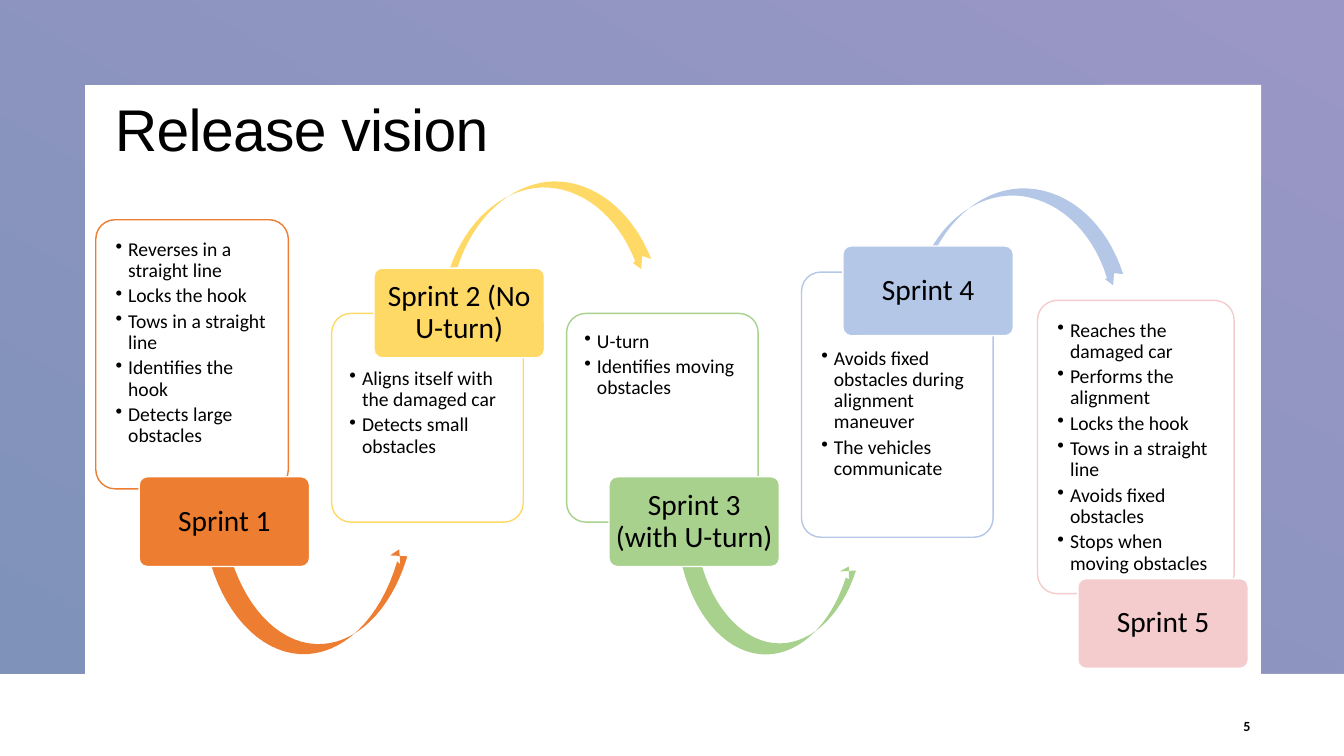
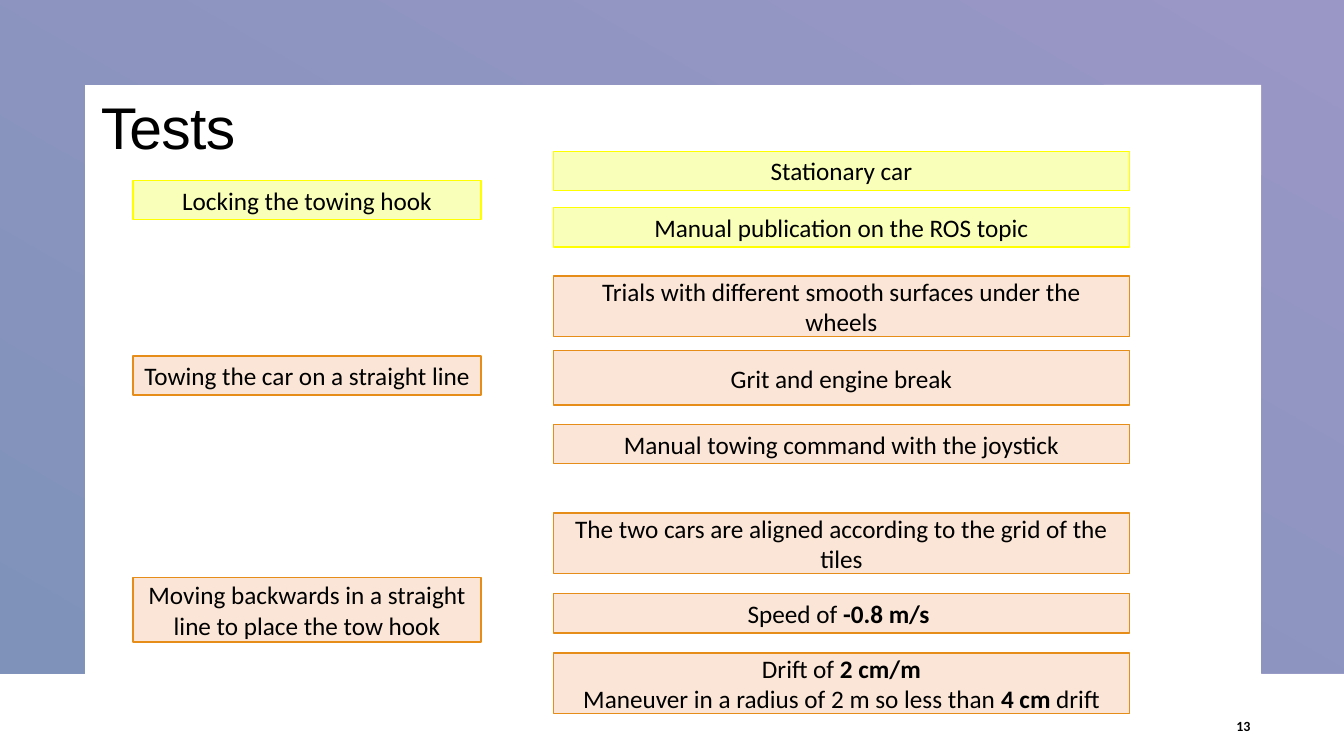
import pptx
import pptx.util
import pptx.dml.color
import pptx.enum.shapes
import pptx.enum.text
import pptx.oxml
import pptx.oxml.ns
import lxml.etree

CELL = pptx.util.Inches(0.1)
SHAPE = pptx.enum.shapes.MSO_SHAPE
ALIGN = pptx.enum.text.PP_ALIGN
ANCHOR = pptx.enum.text.MSO_ANCHOR
BLACK, WHITE = "000000", "FFFFFF"
CURVE_STEPS = 16


def paint(shape, fill, line=None, opacity=100):
    shape.shadow.inherit = False
    shape.fill.solid()
    shape.fill.fore_color.rgb = pptx.dml.color.RGBColor.from_string(fill)
    if opacity < 100:
        color = shape.element.spPr.find(".//" + pptx.oxml.ns.qn("a:srgbClr"))
        alpha = lxml.etree.SubElement(color, pptx.oxml.ns.qn("a:alpha"))
        alpha.set("val", str(opacity * 1000))
    if line:
        shape.line.color.rgb = pptx.dml.color.RGBColor.from_string(line)
        shape.line.width = pptx.util.Pt(1)
    else:
        shape.line.fill.background()


def write(paragraph, runs, size, align=ALIGN.CENTER, font="Calibri"):
    paragraph.alignment = align
    for text, bold in runs:
        if text == "\n":
            paragraph.add_line_break()
            continue
        run = paragraph.add_run()
        run.text = text
        run.font.name = font
        run.font.size = pptx.util.Pt(size)
        run.font.bold = bold
        run.font.color.rgb = pptx.dml.color.RGBColor.from_string(BLACK)


presentation = pptx.Presentation()
presentation.slide_width = pptx.util.Inches(13.33)
presentation.slide_height = pptx.util.Inches(7.5)
layout = presentation.slide_layouts.get_by_name("Title Only")

slides = []
for title_text, number, left, top in [("Release vision", "5", 10.4, 9.2), ("Tests", "13", 9, 9)]:
    slide = presentation.slides.add_slide(layout)
    slides.append(slide)
    title = slide.shapes.title
    title.left, title.top = round(left * CELL), round(top * CELL)
    title.width, title.height = 100 * CELL, round(14.7 * CELL)
    title.text_frame.auto_size = pptx.enum.text.MSO_AUTO_SIZE.NONE
    title.text_frame.vertical_anchor = ANCHOR.TOP
    paragraph = title.text_frame.paragraphs[0]
    paragraph.line_spacing = 0.95
    write(paragraph, [(title_text, False)], 42, ALIGN.LEFT, "Arial")
    paragraph.runs[0].font._element.set("spc", "-50")

    number_box = slide.shapes.add_textbox(round(119.2 * CELL), 70 * CELL, round(5.8 * CELL), 4 * CELL)
    number_box.text_frame.word_wrap = True
    number_box.text_frame.vertical_anchor = ANCHOR.MIDDLE
    write(number_box.text_frame.paragraphs[0], [(number, True)], 10, ALIGN.RIGHT)

release_slide, tests_slide = slides

frame_points = [(133.3, 0), (133.3, 66.8), (125.1, 66.8), (125.1, 8.4), (8.4, 8.4), (8.4, 66.8), (0, 66.8)]
builder = release_slide.shapes.build_freeform(0, 0)
builder.add_line_segments([(x * CELL, y * CELL) for x, y in frame_points])
frame = builder.convert_to_shape()
frame.shadow.inherit = False
frame.line.fill.background()
frame.fill.gradient()
frame.fill.gradient_angle = 240
for stop, position, color in zip(frame.fill.gradient_stops, (0, 1), ("9A96C6", "7F93BA")):
    stop.position = position
    stop.color.rgb = pptx.dml.color.RGBColor.from_string(color)
layout.shapes.element.insert(2, frame.element)

sprints = [
    {
        "name": "Sprint 1", "color": "ED7D31",
        "card": (9.5, 21.8, 19.1, 26.7), "label": (13.8, 47.3), "insets": (1.4, 1.4),
        "tasks": ["Reverses in a straight line", "Locks the hook", "Tows in a straight line",
                  "Identifies the hook", "Detects large obstacles"],
        "arrow": [(22.2, 54.7), (22.6, 54.3), (24, 59.9, 27.4, 63.7, 31.3, 63.9),
                  (35.2, 64.1, 38.8, 60.6, 40.4, 55.2), (38.7, 55.1), (39.6, 54.5), (39.7, 56),
                  (39.4, 55.7), (37.7, 61.5, 33.9, 65.1, 29.8, 64.9), (25.7, 64.7, 22, 60.7, 20.6, 54.8)],
    },
    {
        "name": "Sprint 2 (No U-turn)", "color": "FFD966",
        "card": (32.9, 31.1, 19, 20.7), "label": (37.1, 26.6), "insets": (1.2, 4.9),
        "tasks": ["Aligns itself with the damaged car", "Detects small obstacles"],
        "arrow": [(45.4, 26.5), (47, 21.5, 50.7, 18.2, 54.8, 18), (58.9, 17.9, 62.7, 20.9, 64.6, 25.7),
                  (63.7, 25.4), (63.6, 26.7), (62.8, 26.1), (63, 25.9),
                  (61.2, 21.3, 57.6, 18.5, 53.7, 18.6), (49.7, 18.8, 46.2, 22, 44.6, 26.7)],
    },
    {
        "name": "Sprint 3 (with U-turn)", "color": "A9D18E",
        "card": (56.2, 31.1, 19, 20.7), "label": (60.4, 47.3), "insets": (1.2, 1.2),
        "tasks": ["U-turn", "Identifies moving obstacles"],
        "arrow": [(68.9, 55.1), (69.3, 54.8), (70.3, 59.8, 73.3, 63.4, 76.7, 63.8),
                  (80.1, 64.2, 83.4, 61.3, 84.9, 56.6), (83.3, 56.7), (84.2, 56.2), (84.2, 57.5),
                  (83.9, 57.3), (82.3, 62.3, 78.9, 65.3, 75.3, 64.9), (71.7, 64.5, 68.6, 60.7, 67.5, 55.4)],
    },
    {
        "name": "Sprint 4", "color": "B4C7E7",
        "card": (79.5, 27, 19, 26.3), "label": (83.6, 24.4), "insets": (1.4, 7),
        "tasks": ["Avoids fixed obstacles during alignment maneuver", "The vehicles communicate"],
        "arrow": [(92, 26.5), (93.9, 21.6, 97.7, 18.5, 101.9, 18.7), (106.1, 18.9, 109.8, 22.2, 111.4, 27.2),
                  (110.5, 27.1), (110.4, 28.3), (109.6, 27.7), (109.8, 27.6),
                  (108.3, 22.7, 104.7, 19.6, 100.7, 19.4), (96.7, 19.3, 93, 22.2, 91.3, 26.9)],
    },
    {
        "name": "Sprint 5", "color": "F5CCCD",
        "card": (102.9, 29.8, 19.5, 29.1), "label": (106.9, 57.4), "insets": (1.4, 1.4),
        "tasks": ["Reaches the damaged car", "Performs the alignment", "Locks the hook",
                  "Tows in a straight line", "Avoids fixed obstacles", "Stops when moving obstacles"],
        "arrow": [],
    },
]

for sprint in sprints:
    card = release_slide.shapes.add_shape(
        SHAPE.ROUNDED_RECTANGLE, *[round(length * CELL) for length in sprint["card"]])
    card.adjustments[0] = 0.1
    paint(card, WHITE, sprint["color"], 90)
    text_frame = card.text_frame
    text_frame.word_wrap = True
    text_frame.vertical_anchor = ANCHOR.TOP
    side, top = sprint["insets"]
    text_frame.margin_left = text_frame.margin_right = round(side * CELL)
    text_frame.margin_top = round(top * CELL)
    text_frame.margin_bottom = 0
    for index, task in enumerate(sprint["tasks"]):
        paragraph = text_frame.add_paragraph() if index else text_frame.paragraphs[0]
        properties = paragraph._p.get_or_add_pPr()
        indent = round(1.25 * CELL)
        properties.set("marL", str(indent))
        properties.set("indent", str(-indent))
        bullet = lxml.etree.SubElement(properties, pptx.oxml.ns.qn("a:buChar"))
        bullet.set("char", "•")
        paragraph.line_spacing = 0.9
        paragraph.space_after = pptx.util.Pt(3)
        write(paragraph, [(task, False)], 14, ALIGN.LEFT)

    if sprint["arrow"]:
        outline = [sprint["arrow"][0]]
        for segment in sprint["arrow"][1:]:
            if len(segment) == 2:
                outline.append(segment)
                continue
            x0, y0 = outline[-1]
            x1, y1, x2, y2, x3, y3 = segment
            for step in range(1, CURVE_STEPS + 1):
                t = step / CURVE_STEPS
                a, b, c, d = (1 - t) ** 3, 3 * t * (1 - t) ** 2, 3 * t ** 2 * (1 - t), t ** 3
                outline.append((a * x0 + b * x1 + c * x2 + d * x3, a * y0 + b * y1 + c * y2 + d * y3))
        points = [(x * CELL, y * CELL) for x, y in outline]
        builder = release_slide.shapes.build_freeform(*points[0])
        builder.add_line_segments(points[1:])
        paint(builder.convert_to_shape(), sprint["color"])

    left, top = sprint["label"]
    label = release_slide.shapes.add_shape(
        SHAPE.ROUNDED_RECTANGLE, round(left * CELL), round(top * CELL), round(16.9 * CELL), round(8.9 * CELL))
    label.adjustments[0] = 0.09
    paint(label, sprint["color"], WHITE)
    label.text_frame.word_wrap = True
    label.text_frame.vertical_anchor = ANCHOR.MIDDLE
    label.text_frame.margin_left = label.text_frame.margin_right = round(0.45 * CELL)
    paragraph = label.text_frame.paragraphs[0]
    paragraph.line_spacing = 0.9
    write(paragraph, [(sprint["name"], False)], 21)

test_column, detail_column = (13.2, 34.5), (54.9, 57.1)
yellow, orange = ("F5FF87", "FFFF00", 58), ("FBE5D6", "E68D19", 100)
test_boxes = [
    (test_column, 17.9, 3.9, yellow, [("Locking the towing hook", False)]),
    (detail_column, 15, 3.9, yellow, [("Stationary car", False)]),
    (detail_column, 20.6, 3.9, yellow, [("Manual publication on the ROS topic", False)]),
    (test_column, 35.3, 3.9, orange, [("Towing the car on a straight line", False)]),
    (detail_column, 27.4, 6, orange, [("Trials with different smooth surfaces under the wheels", False)]),
    (detail_column, 34.8, 5.4, orange, [("Grit and engine break", False)]),
    (detail_column, 42.1, 3.9, orange, [("Manual towing command with the joystick", False)]),
    (test_column, 57.3, 6.4, orange, [("Moving backwards in a straight line to place the tow hook", False)]),
    (detail_column, 50.9, 6, orange, [("The two cars are aligned according to the grid of the tiles", False)]),
    (detail_column, 58.9, 3.9, orange, [("Speed of ", False), ("-0.8 m/s ", True)]),
    (detail_column, 64.8, 6, orange, [
        ("Drift of ", False), ("2 cm/m", True), ("\n", False),
        ("Maneuver in a radius of 2 m so less than ", False), ("4 cm", True), (" drift", False)]),
]
for (left, width), top, height, style, runs in test_boxes:
    box = tests_slide.shapes.add_shape(
        SHAPE.RECTANGLE, *[round(length * CELL) for length in (left, top, width, height)])
    paint(box, *style)
    box.text_frame.word_wrap = True
    box.text_frame.vertical_anchor = ANCHOR.MIDDLE
    write(box.text_frame.paragraphs[0], runs, 18)

presentation.save("out.pptx")
